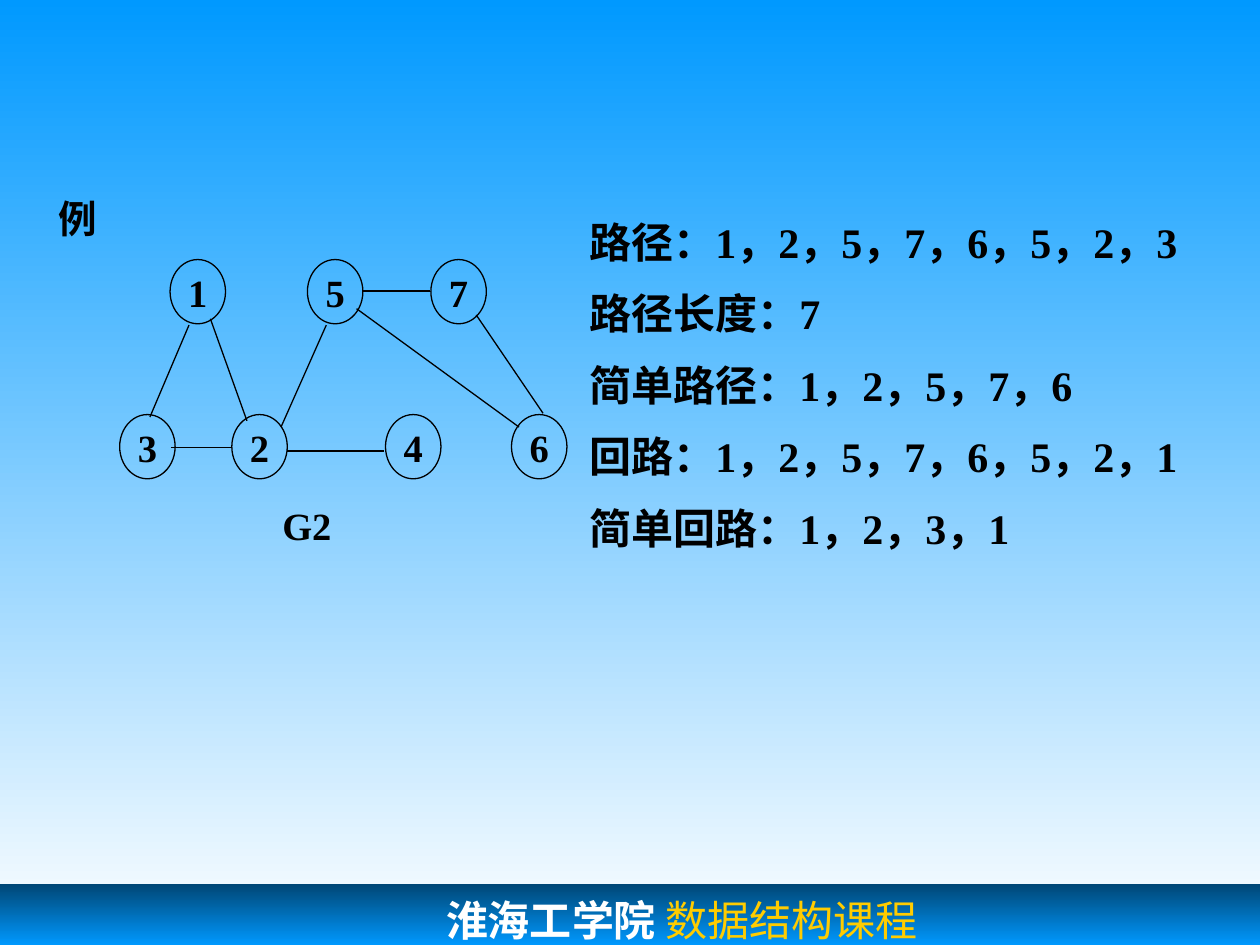
import copy
from dataclasses import dataclass

import lxml.etree
import pptx
import pptx.dml.color
import pptx.enum.lang
import pptx.enum.shapes
import pptx.enum.text
import pptx.oxml.ns
import pptx.util

Inches = pptx.util.Inches
Pt = pptx.util.Pt
Align = pptx.enum.text.PP_ALIGN
Anchor = pptx.enum.text.MSO_ANCHOR
Kind = pptx.enum.shapes.MSO_SHAPE
Lang = pptx.enum.lang.MSO_LANGUAGE_ID
qn = pptx.oxml.ns.qn


@dataclass(frozen=True)
class Theme:
    sky: str = "0099FF"
    deep: str = "004776"
    white: str = "FFFFFF"
    gold: str = "FFCC00"
    ink: str = "000000"
    serif: str = "Times New Roman"
    mono: str = "Courier New"
    node: int = 22
    body: int = 24
    gap: int = 12
    line: float = 0.75


THEME = Theme()


def rgb(code):
    return pptx.dml.color.RGBColor.from_string(code)


def style(run, size, color=THEME.ink, face=THEME.serif, bold=True):
    font = run.font
    font.size, font.bold, font.name = Pt(size), bold, face
    font.color.rgb = rgb(color)
    font.language_id = Lang.SIMPLIFIED_CHINESE


def shade(fill, top, end):
    """Run a gradient straight down from top to end."""
    fill.gradient()
    fill.gradient_angle = 270
    for stop, color, place in zip(fill.gradient_stops, (top, end), (0, 1)):
        stop.color.rgb = rgb(color)
        stop.position = place


def label(shape, text):
    """Centre a short bold label in a shape."""
    frame = shape.text_frame
    frame.text = text
    frame.word_wrap = False
    frame.vertical_anchor = Anchor.MIDDLE
    para = frame.paragraphs[0]
    para.alignment = Align.CENTER
    style(para.runs[0], THEME.node)


def draw_foot(slide, left, top, width, height):
    band = slide.shapes.add_shape(
        Kind.RECTANGLE, Inches(left), Inches(top), Inches(width), Inches(height))
    band.shadow.inherit = False
    band.line.fill.background()

    # Dark edges with a bright middle
    shade(band.fill, THEME.deep, THEME.sky)
    stops = band._element.spPr.find(".//" + qn("a:gsLst"))
    last = copy.deepcopy(stops[0])
    stops[1].set("pos", "50000")
    last.set("pos", "100000")
    stops.append(last)

    # School and course
    frame = band.text_frame
    frame.word_wrap = True
    frame.vertical_anchor = Anchor.TOP
    frame.margin_left = Inches(3.54)
    frame.margin_top = Inches(0.08)
    para = frame.paragraphs[0]
    para.alignment = Align.LEFT
    for text, color, face, bold in (
            ("淮海工学院", THEME.white, THEME.mono, True),
            (" 数据结构课程", THEME.gold, THEME.serif, False)):
        run = para.add_run()
        run.text = text
        style(run, THEME.body, color, face, bold)


def draw_graph(slide, left, top):
    parts = slide.shapes.add_group_shape().shapes

    def spot(x, y):
        return Inches(left + x), Inches(top + y)

    # Captions
    for text, x, y, width in (("例", 0, 0, 0.5), ("G2", 1.77, 2.43, 0.59)):
        box = parts.add_textbox(*spot(x, y), Inches(width), Inches(0.47))
        label(box, text)

    # Nodes in two rows
    rows = (
        (0.56, (("1", 0.98), ("5", 2.07), ("7", 3.05))),
        (1.79, (("3", 0.58), ("2", 1.47), ("4", 2.69), ("6", 3.69))),
    )
    for y, nodes in rows:
        for text, x in nodes:
            node = parts.add_shape(
                Kind.OVAL, *spot(x, y), Inches(0.44), Inches(0.51))
            node.shadow.inherit = False
            node.fill.background()
            node.line.color.rgb = rgb(THEME.ink)
            node.line.width = Pt(THEME.line)
            label(node, text)

    # Edges
    edges = (
        (1.13, 1.08, 0.82, 1.81),  # 1-3
        (0.99, 2.05, 1.47, 2.05),  # 3-2
        (1.30, 1.03, 1.59, 1.84),  # 1-2
        (2.22, 1.08, 1.86, 1.89),  # 5-2
        (1.91, 2.08, 2.68, 2.08),  # 2-4
        (2.51, 0.81, 3.04, 0.81),  # 5-7
        (2.46, 0.95, 3.75, 1.89),  # 5-6
        (3.41, 1.00, 3.94, 1.78),  # 7-6
    )
    for x1, y1, x2, y2 in edges:
        edge = parts.add_connector(
            pptx.enum.shapes.MSO_CONNECTOR.STRAIGHT, *spot(x1, y1), *spot(x2, y2))
        edge.line.color.rgb = rgb(THEME.ink)
        edge.line.width = Pt(THEME.line)
        lxml.etree.SubElement(edge._element.spPr, qn("a:effectLst"))


def draw_paths(slide, left, top, width, height):
    box = slide.shapes.add_textbox(
        Inches(left), Inches(top), Inches(width), Inches(height))
    frame = box.text_frame
    frame.word_wrap = True
    frame.text = "\n".join((
        "路径：1，2，5，7，6，5，2，3",
        "路径长度：7",
        "简单路径：1，2，5，7，6",
        "回路：1，2，5，7，6，5，2，1",
        "简单回路：1，2，3，1",
    ))
    for i, para in enumerate(frame.paragraphs):
        if i:
            para.space_before = Pt(THEME.gap)
        style(para.runs[0], THEME.body)


def main():
    deck = pptx.Presentation()
    deck.slide_width, deck.slide_height = Inches(10), Inches(7.5)
    slide = deck.slides.add_slide(deck.slide_layouts[6])
    shade(slide.background.fill, THEME.sky, THEME.white)
    draw_foot(slide, 0, 7.02, 10, 0.97)
    draw_graph(slide, 0.37, 1.5)
    draw_paths(slide, 4.58, 1.67, 5.08, 3.57)
    deck.save("out.pptx")


if __name__ == "__main__":
    main()
